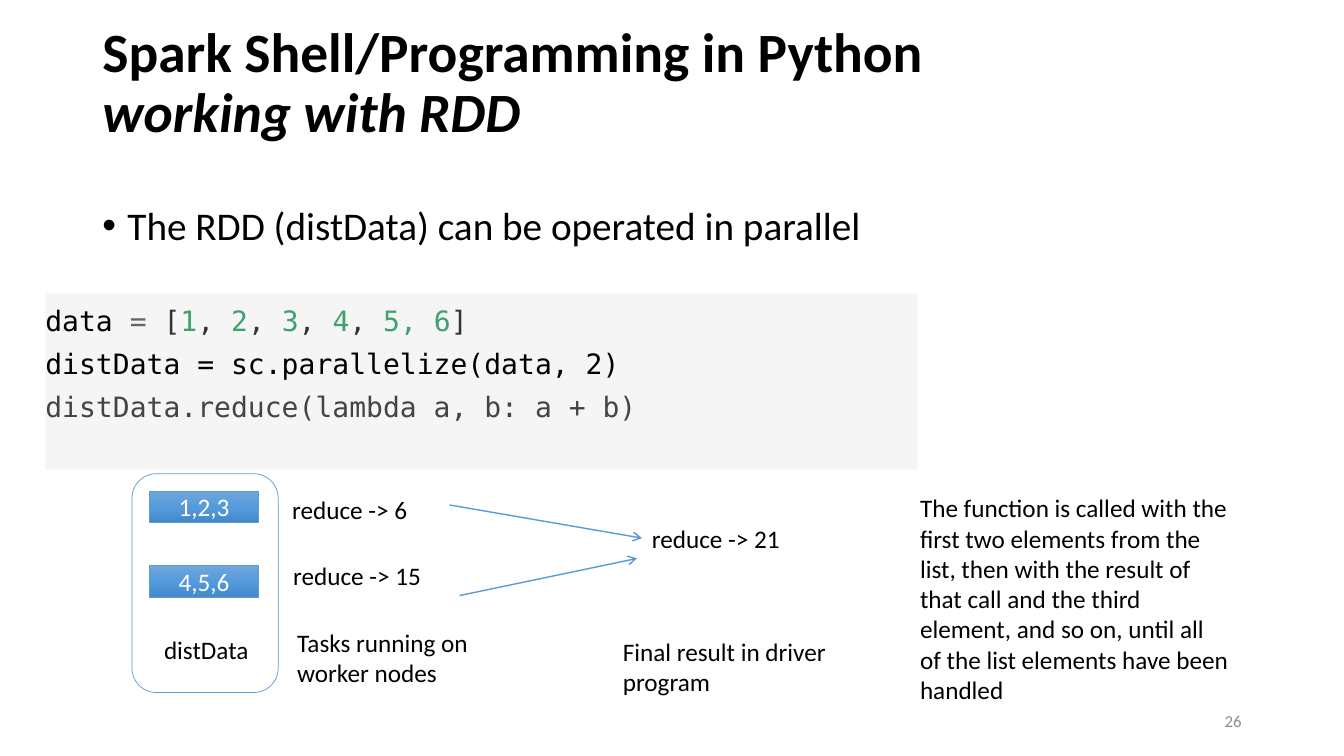
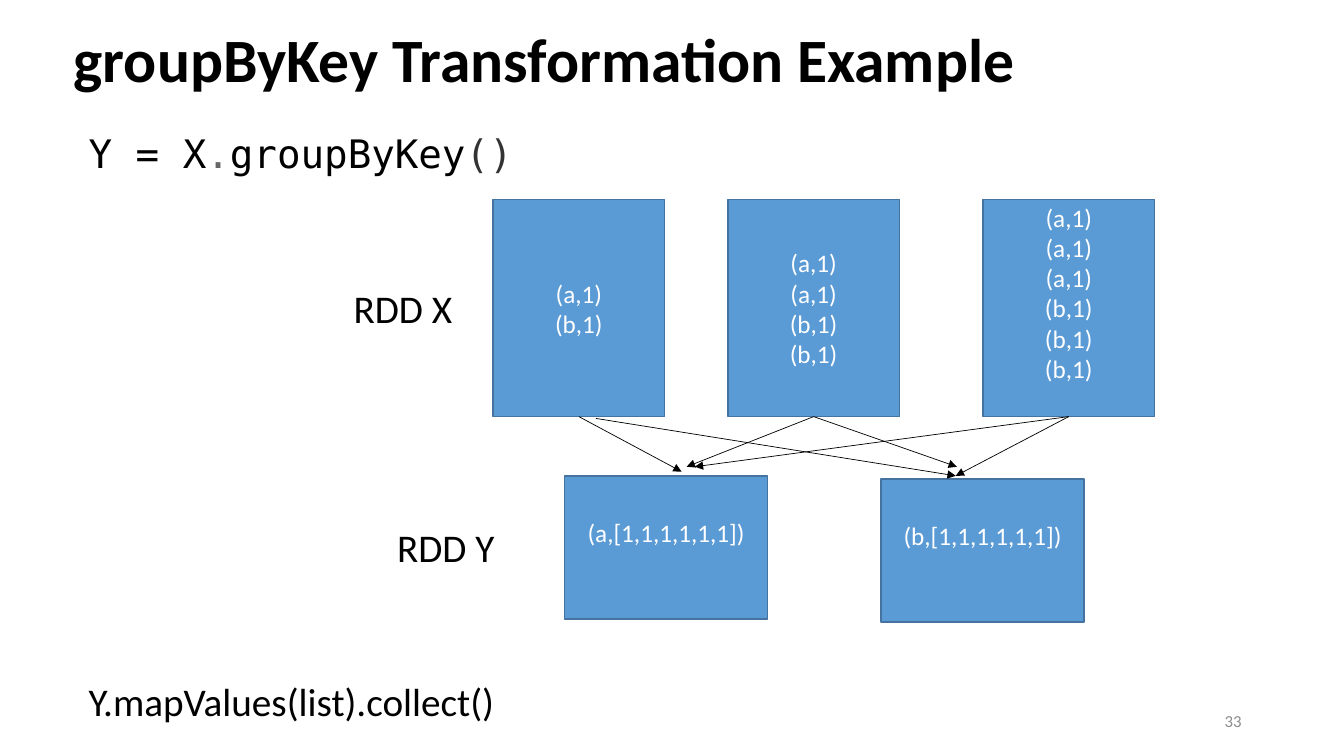
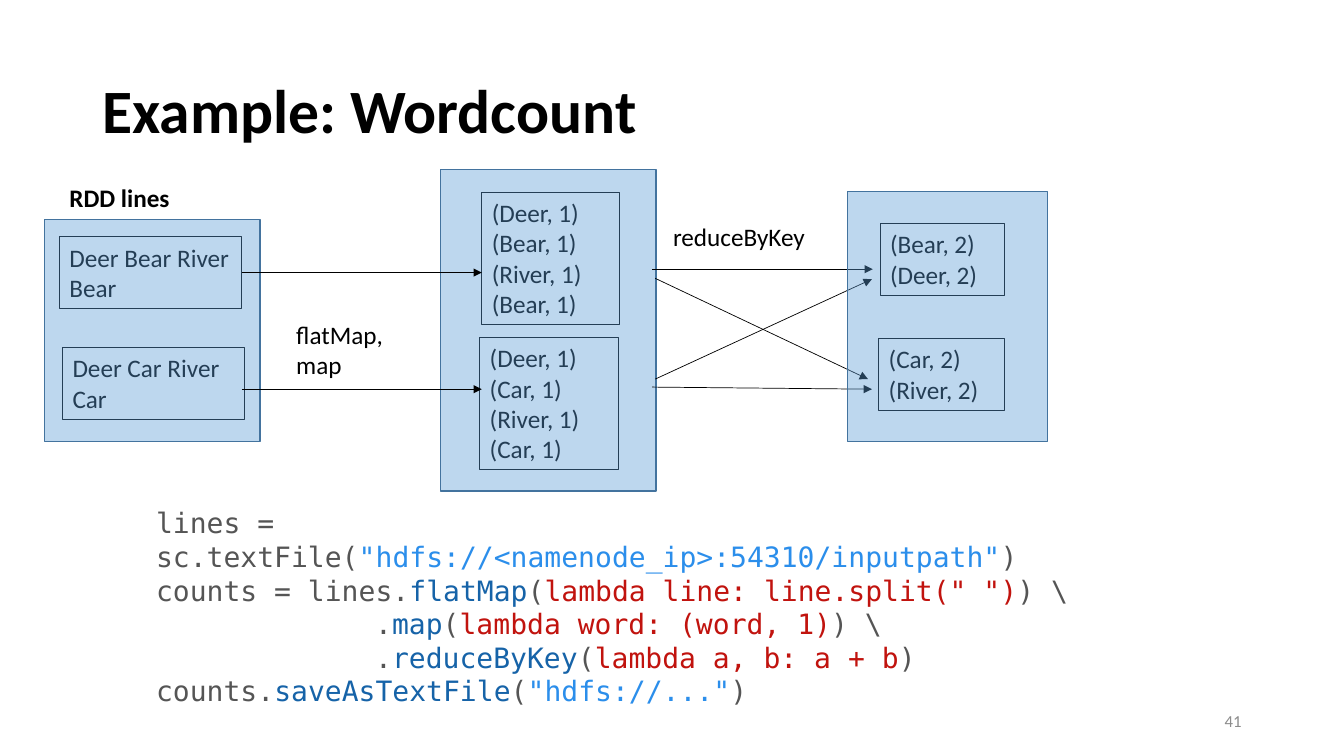
import dataclasses

import lxml.etree
import pptx
import pptx.dml.color
import pptx.enum.dml
import pptx.enum.shapes
import pptx.enum.text
import pptx.oxml.ns
import pptx.util

Pt = pptx.util.Pt
SHAPES = pptx.enum.shapes.MSO_SHAPE
ALIGN = pptx.enum.text.PP_ALIGN
ANCHOR = pptx.enum.text.MSO_ANCHOR


@dataclasses.dataclass(frozen=True)
class Theme:
    font: str = "Calibri"
    mono: str = "DejaVu Sans Mono"
    title: float = 44
    title_two_lines: float = 39.6
    lead: float = 28
    code: float = 20
    text: float = 18
    number: float = 12
    black: str = "000000"
    white: str = "FFFFFF"
    grey: str = "8C8C8C"
    blue: str = "5B9BD5"
    blue_edge: str = "43739E"
    gradient: tuple = ((0, "71A6DB"), (50, "559BDB"), (100, "448ACA"))
    code_ground: str = "F5F5F5"
    operator: str = "666666"
    bracket: str = "333333"
    digit: str = "40A070"
    call: str = "444444"
    plain: str = "555555"
    string: str = "2B8EEB"
    method: str = "1663A8"
    function: str = "C1130E"


THEME = Theme()


@dataclasses.dataclass(frozen=True)
class Box:
    left: float
    top: float
    width: float
    height: float

    def inner(self, left, top, width, height):
        return Box(self.left + left, self.top + top, width, height)

    def point(self, x, y):
        return Pt(self.left + x), Pt(self.top + y)

    def lengths(self):
        return [Pt(value) for value in dataclasses.astuple(self)]


def rgb(color):
    return pptx.dml.color.RGBColor.from_string(color)


def write(frame, lines, size=THEME.text, color=THEME.black, font=THEME.font,
          bold=None, align=ALIGN.LEFT, spacing=None, after=None):
    """Fill a frame; a line is a string or a list of (text, colour) runs."""
    frame.word_wrap = True
    for index, line in enumerate(lines):
        paragraph = frame.add_paragraph() if index else frame.paragraphs[0]
        paragraph.alignment = align
        if spacing:
            paragraph.line_spacing = spacing
        if after is not None:
            paragraph.space_after = Pt(after)
        paragraph.font.name = font
        paragraph.font.size = Pt(size)
        paragraph.font.bold = bold
        paragraph.font.color.rgb = rgb(color)
        for text, run_color in [(line, color)] if isinstance(line, str) else line:
            run = paragraph.add_run()
            run.text = text
            if run_color != color:
                run.font.color.rgb = rgb(run_color)


def add_text(slide, box, lines, **style):
    frame = slide.shapes.add_textbox(*box.lengths()).text_frame
    write(frame, lines, **style)
    return frame


def add_box(slide, box, fill=None, line=None, width=1, kind=SHAPES.RECTANGLE):
    shape = slide.shapes.add_shape(kind, *box.lengths())
    shape.shadow.inherit = False
    if fill:
        shape.fill.solid()
        shape.fill.fore_color.rgb = rgb(fill)
    else:
        shape.fill.background()
    if line:
        shape.line.color.rgb = rgb(line)
        shape.line.width = Pt(width)
    else:
        shape.line.fill.background()
    return shape


def add_arrow(slide, box, start, end, color=THEME.black, width=0.5, head="triangle"):
    """Draw an arrow; start is a point in the box or a (shape, side) pair."""
    joined = not isinstance(start[0], (int, float))
    first = (0, 0) if joined else start
    arrow = slide.shapes.add_connector(
        pptx.enum.shapes.MSO_CONNECTOR.STRAIGHT, *box.point(*first), *box.point(*end))
    if joined:
        arrow.begin_connect(*start)
    arrow.line.color.rgb = rgb(color)
    arrow.line.width = Pt(width)
    qn = pptx.oxml.ns.qn
    properties = arrow._element.spPr
    lxml.etree.SubElement(properties.find(qn("a:ln")), qn("a:tailEnd"), type=head)
    lxml.etree.SubElement(properties, qn("a:effectLst"))


def fill_gradient(shape):
    qn = pptx.oxml.ns.qn
    shape.fill.gradient()
    shape.fill.gradient_angle = 270
    stops = shape._element.spPr.find(".//" + qn("a:gsLst"))
    for stop in list(stops):
        stops.remove(stop)
    for position, color in THEME.gradient:
        stop = lxml.etree.SubElement(stops, qn("a:gs"), pos=str(position * 1000))
        lxml.etree.SubElement(stop, qn("a:srgbClr"), val=color)


def set_opacity(shape, percent):
    qn = pptx.oxml.ns.qn
    color = shape._element.spPr.find(qn("a:solidFill")).find(qn("a:srgbClr"))
    lxml.etree.SubElement(color, qn("a:alpha"), val=str(percent * 1000))


def set_indent(paragraph, left, first=0, bullet=None):
    properties = paragraph._p.get_or_add_pPr()
    properties.set("marL", str(Pt(left)))
    properties.set("indent", str(Pt(first)))
    if bullet:
        qn = pptx.oxml.ns.qn
        lxml.etree.SubElement(properties, qn("a:buFont"), typeface="Arial")
        lxml.etree.SubElement(properties, qn("a:buChar"), char=bullet)
        # Schema order puts the default run properties after the bullet.
        defaults = properties.find(qn("a:defRPr"))
        if defaults is not None:
            properties.append(defaults)


def add_slide(presentation, title, title_box, number, subtitle=None):
    slide = presentation.slides.add_slide(presentation.slide_layouts[5])
    holder = slide.shapes.title
    holder.left, holder.top, holder.width, holder.height = title_box.lengths()
    frame = holder.text_frame
    frame.auto_size = pptx.enum.text.MSO_AUTO_SIZE.NONE
    frame.vertical_anchor = ANCHOR.MIDDLE
    write(frame, [title], size=THEME.title_two_lines if subtitle else THEME.title,
          bold=True, spacing=0.9)
    if subtitle:
        paragraph = frame.paragraphs[0]
        paragraph.add_line_break()
        run = paragraph.add_run()
        run.text = subtitle
        run.font.italic = True
    footer = add_text(slide, Box(678, 500.5, 216, 28.8), [str(number)],
                      size=THEME.number, color=THEME.grey, align=ALIGN.RIGHT)
    footer.vertical_anchor = ANCHOR.MIDDLE
    return slide


def add_code_panel(slide, box):
    data_line = [("data ", THEME.black), ("=", THEME.operator), (" [", THEME.bracket)]
    for digit in "1234":
        data_line += [(digit, THEME.digit), (", ", THEME.bracket)]
    data_line += [("5, 6", THEME.digit), ("]", THEME.bracket)]
    frame = add_box(slide, box, THEME.code_ground).text_frame
    frame.margin_left = frame.margin_right = frame.margin_bottom = 0
    frame.margin_top = Pt(7)
    frame.vertical_anchor = ANCHOR.TOP
    write(frame, [data_line, "distData = sc.parallelize(data, 2)",
                  [("distData.reduce(lambda a, b: a + b)", THEME.call)]],
          size=THEME.code, font=THEME.mono, after=6.7)


def add_reduce_diagram(slide, box):
    for index, values in enumerate(("1,2,3", "4,5,6")):
        partition = add_box(slide, box.inner(12.5, 12.4 + 53.3 * index, 78, 22.4),
                            line=THEME.blue, width=0.5)
        fill_gradient(partition)
        partition.text_frame.vertical_anchor = ANCHOR.MIDDLE
        write(partition.text_frame, [values], color=THEME.white, align=ALIGN.CENTER)
    add_box(slide, box.inner(0, 0, 104.4, 156.3), line=THEME.blue, width=0.5,
            kind=SHAPES.ROUNDED_RECTANGLE)
    for left, top, width, text in (
            (15.8, 111, 92, "distData"),
            (107.3, 10.8, 110, "reduce -> 6"),
            (108, 58.3, 128, "reduce -> 15"),
            (364.3, 31.7, 110, "reduce -> 21"),
            (110.9, 105.8, 163, "Tasks running on worker nodes"),
            (343.5, 112.3, 163, "Final result in driver program"),
            (555.8, 10, 236, "The function is called with the first two elements from "
             "the list, then with the result of that call and the third element, "
             "and so on, until all of the list elements have been handled")):
        add_text(slide, box.inner(left, top, width, 29), [text])
    for start, end in (((226.8, 22.3), (364.3, 46)), ((234, 87), (360.8, 60.5))):
        add_arrow(slide, box, start, end, THEME.blue, 1, "arrow")


def add_pairs_box(slide, box, lines, raised=False):
    """Add a filled box; raised text sits half a line above the middle."""
    shape = add_box(slide, box, THEME.blue, THEME.blue_edge)
    frame = shape.text_frame
    frame.vertical_anchor = ANCHOR.MIDDLE
    if raised:
        frame.margin_top, frame.margin_bottom = 0, Pt(22)
    write(frame, lines, color=THEME.white, align=ALIGN.CENTER)
    return shape


def add_group_diagram(slide, box):
    add_text(slide, box.inner(0, 57, 90, 41), ["RDD X"], size=THEME.lead)
    add_text(slide, box.inner(31, 227.7, 90, 41), ["RDD Y"], size=THEME.lead)
    sources = [
        add_pairs_box(slide, box.inner(left, 0, 122.6, 155),
                      ["(a,1)"] * count + ["(b,1)"] * count, raised=count == 3)
        for count, left in enumerate((106.7, 274.4, 456.6), start=1)]
    for left, top, key in ((157.8, 197.5, "a"), (383.9, 199.5, "b")):
        add_pairs_box(slide, box.inner(left, top, 145, 102.2),
                      [f"({key},[1,1,1,1,1,1])"], raised=True)
    bottom = 2
    for start, end in (
            ((sources[0], bottom), (241.4, 194.3)),
            ((180.2, 156.3), (437.2, 197.3)),
            ((sources[1], bottom), (245, 190.8)),
            ((sources[1], bottom), (438, 190.8)),
            ((sources[2], bottom), (250.8, 190.8)),
            ((sources[2], bottom), (437.2, 197.3))):
        add_arrow(slide, box, start, end)


def add_wordcount_diagram(slide, box):
    cards = []
    for left, top, width, height, lines in (
            (10.8, 48.2, 130.3, 51, ("Deer Bear River", "Bear")),
            (13, 127.4, 130.3, 51, ("Deer Car River", "Car")),
            (312.5, 16.5, 98, 94.5, ("(Deer, 1)", "(Bear, 1)", "(River, 1)", "(Bear, 1)")),
            (311, 120.2, 99.4, 94.5, ("(Deer, 1)", "(Car, 1)", "(River, 1)", "(Car, 1)")),
            (597, 38.8, 88.6, 51, ("(Bear, 2)", "(Deer, 2)")),
            (596, 121, 90, 51, ("(Car, 2)", "(River, 2)"))):
        card = add_box(slide, box.inner(left, top, width, height),
                       line=THEME.black, width=0.75)
        card.text_frame.vertical_anchor = ANCHOR.TOP
        write(card.text_frame, lines)
        cards.append(card)

    def add_panel(left, top, width, height):
        panel = add_box(slide, box.inner(left, top, width, height),
                        THEME.blue, THEME.blue_edge)
        set_opacity(panel, 40)

    add_panel(0, 36, 154, 158.4)
    add_panel(283, 0, 154, 229.7)
    right = 3
    for start, end in (
            ((cards[0], right), (312.5, 73.7)),
            ((141.1, 157), (312.5, 157)),
            ((434.2, 71.3), (591.8, 71.3)),
            ((434.2, 155.5), (591.1, 157)),
            ((436.3, 77.8), (588.3, 149.8)),
            ((436.3, 149.8), (591.1, 78.4))):
        add_arrow(slide, box, start, end)
    add_panel(573.8, 15.8, 142.6, 178.6)
    add_text(slide, box.inner(10.8, 5.8, 100, 29), ["RDD lines"], bold=True)
    add_text(slide, box.inner(172.8, 103.7, 84, 51), ["flatMap,", "map"])
    add_text(slide, box.inner(442, 33.8, 119, 29), ["reduceByKey"])


def add_wordcount_code(slide, box):
    plain, string = THEME.plain, THEME.string
    method, function = THEME.method, THEME.function
    frame = add_text(slide, box, [
        [("lines = sc.textFile(", plain),
         ('"hdfs://<namenode_ip>:54310/inputpath"', string), (")", plain)],
        [("counts = lines.", plain), ("flatMap", method), ("(", plain),
         ('lambda line: line.split(" ")', function), (") \\", plain)],
        [(".", plain), ("map", method), ("(", plain),
         ("lambda word: (word, 1)", function), (") \\", plain)],
        [(".", plain), ("reduceByKey", method), ("(", plain),
         ("lambda a, b: a + b", function), (")", plain)],
        [("counts.", plain), ("saveAsTextFile", method), ("(", plain),
         ('"hdfs://..."', string), (")", plain)],
    ], size=THEME.code, color=plain, font=THEME.mono)
    for paragraph in frame.paragraphs[2:4]:
        set_indent(paragraph, 156.5)


def build_reduce_slide(presentation):
    slide = add_slide(presentation, "Spark Shell/Programming in Python ",
                      Box(66, 19.5, 828, 81.4), 26, subtitle="working with RDD")
    body = add_text(slide, Box(66, 144, 828, 42),
                    ["The RDD (distData) can be operated in parallel"],
                    size=THEME.lead, spacing=0.9)
    set_indent(body.paragraphs[0], 18, -18, "•")
    add_code_panel(slide, Box(32.4, 209.5, 622.8, 126))
    add_reduce_diagram(slide, Box(94.3, 338.4, 792, 170))


def build_group_slide(presentation):
    slide = add_slide(presentation, "groupByKey Transformation Example",
                      Box(45.4, -7.2, 828, 104.4), 33)
    add_text(slide, Box(56.2, 92.9, 828, 42),
             [[("Y = X", THEME.black), (".", THEME.operator),
               ("groupByKey", THEME.black), ("()", THEME.bracket)]],
             size=THEME.lead, font=THEME.mono, spacing=0.9)
    add_group_diagram(slide, Box(245.5, 142.6, 580, 302))
    add_text(slide, Box(56.2, 480.2, 337, 41), ["Y.mapValues(list).collect()"],
             size=THEME.lead)


def build_wordcount_slide(presentation):
    slide = add_slide(presentation, "Example: Wordcount",
                      Box(66, 28.8, 828, 104.4), 41)
    add_wordcount_code(slide, Box(104.4, 357.8, 705.6, 128))
    add_wordcount_diagram(slide, Box(31.7, 121, 716.4, 230))


def main():
    presentation = pptx.Presentation()
    presentation.slide_width = Pt(960)
    presentation.slide_height = Pt(540)
    build_reduce_slide(presentation)
    build_group_slide(presentation)
    build_wordcount_slide(presentation)
    presentation.save("out.pptx")


if __name__ == "__main__":
    main()
